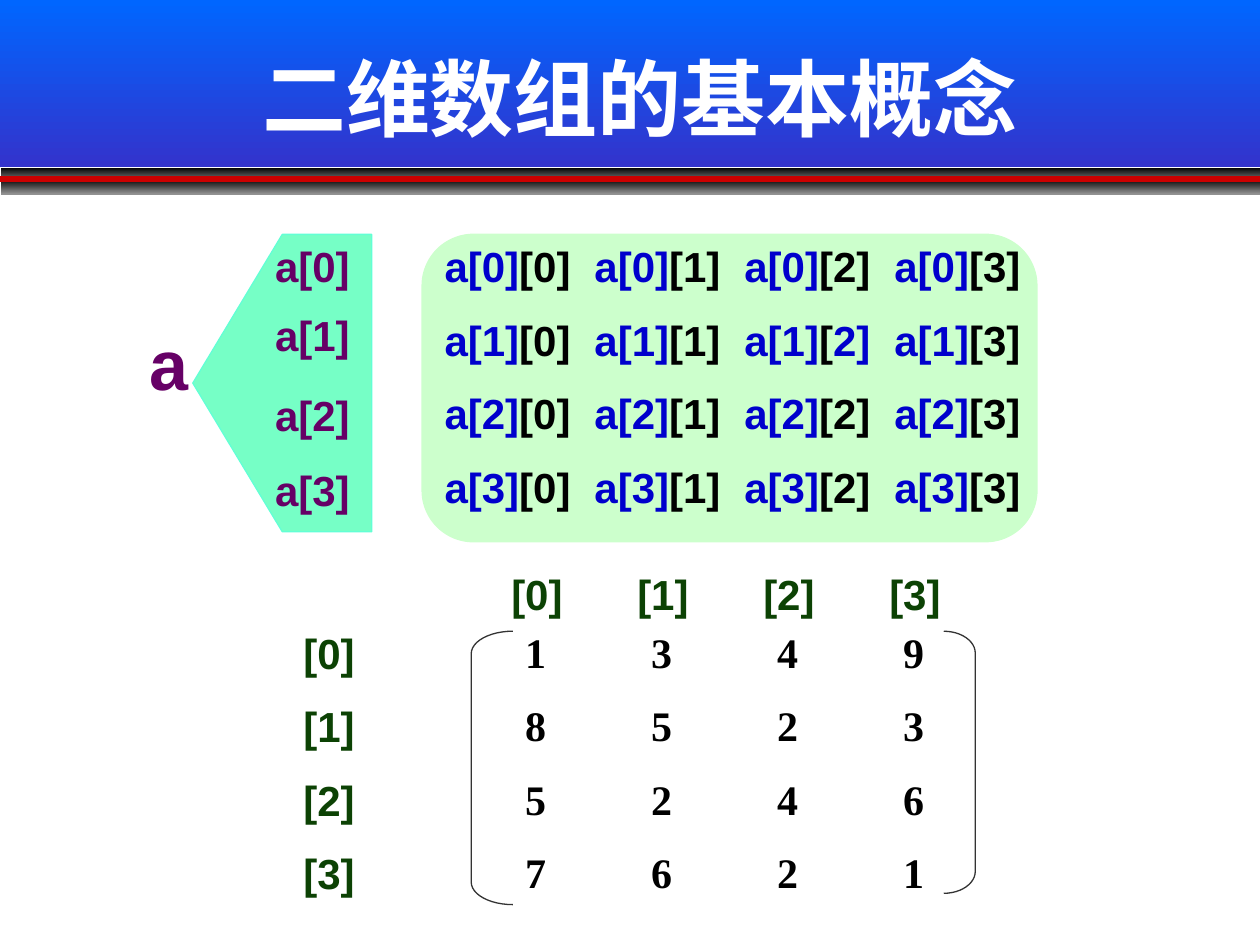
from lxml.etree import SubElement
from pptx import Presentation
from pptx.dml.color import RGBColor
from pptx.enum.shapes import MSO_CONNECTOR, MSO_SHAPE
from pptx.enum.text import MSO_ANCHOR, PP_ALIGN
from pptx.oxml.ns import qn
from pptx.util import Inches, Pt

TITLE = "二维数组的基本概念"
ARRAY_NAME = "a"
MATRIX = [
    [1, 3, 4, 9],
    [8, 5, 2, 3],
    [5, 2, 4, 6],
    [7, 6, 2, 1],
]
ROW_NAME_TOPS = [1.86, 2.41, 3.04, 3.64]
PARTLY_BLUE_CELL = (1, 2)

WIDTH, HEIGHT = 10, 7.5
HEADER_HEIGHT = 1.33
BAND_HEIGHT = 0.12
RULE_TOP = 1.42
MATRIX_TAB = 1
ELEMENT_TAB = 1.19
ROW_GAP = Pt(13.2)

WHITE = RGBColor(0xFF, 0xFF, 0xFF)
BLACK = RGBColor(0x00, 0x00, 0x00)
GREY = RGBColor(0x92, 0x92, 0x92)
BRACKET_GREY = RGBColor(0x33, 0x33, 0x33)
HEADER_TOP = RGBColor(0x00, 0x66, 0xFF)
HEADER_BOTTOM = RGBColor(0x33, 0x33, 0xCC)
RED = RGBColor(0xCC, 0x00, 0x00)
BLUE = RGBColor(0x00, 0x00, 0xCC)
PURPLE = RGBColor(0x66, 0x00, 0x66)
GREEN = RGBColor(0x0C, 0x42, 0x04)
PALE_GREEN = RGBColor(0xCC, 0xFF, 0xCC)
MINT = RGBColor(0x76, 0xFF, 0xC6)
MINT_EDGE = RGBColor(0x63, 0xFF, 0xD5)

presentation = Presentation()
presentation.slide_width = Inches(WIDTH)
presentation.slide_height = Inches(HEIGHT)
slide = presentation.slides.add_slide(presentation.slide_layouts[6])


def add_shape(kind, box, fill=None, line=None, adjustment=None):
    shape = slide.shapes.add_shape(kind, *map(Inches, box))
    shape.shadow.inherit = False
    if adjustment is not None:
        shape.adjustments[0] = adjustment
    if fill is None:
        shape.fill.background()
    elif isinstance(fill, tuple) and not isinstance(fill, RGBColor):
        shape.fill.gradient()
        shape.fill.gradient_angle = 270
        for stop, color in zip(shape.fill.gradient_stops, fill):
            stop.color.rgb = color
    else:
        shape.fill.solid()
        shape.fill.fore_color.rgb = fill
    if line is None:
        shape.line.fill.background()
    else:
        shape.line.color.rgb = line
        shape.line.width = Pt(0.75)
    return shape


def add_text(box, lines, size=24, font="Arial", align=PP_ALIGN.LEFT,
             anchor=MSO_ANCHOR.TOP, tab=None, wrap=True):
    text_frame = slide.shapes.add_textbox(*map(Inches, box)).text_frame
    text_frame.word_wrap = wrap
    text_frame.vertical_anchor = anchor
    for number, pieces in enumerate(lines):
        paragraph = text_frame.add_paragraph() if number else text_frame.paragraphs[0]
        paragraph.alignment = align
        if number:
            paragraph.space_before = ROW_GAP
        if tab:
            tab_list = SubElement(paragraph._p.get_or_add_pPr(), qn("a:tabLst"))
            for column in range(1, len(MATRIX[0])):
                SubElement(tab_list, qn("a:tab"), pos=str(Inches(tab * column)), algn="l")
        for text, color in pieces:
            run = paragraph.add_run()
            run.text = text
            run.font.size = Pt(size)
            run.font.name = font
            run.font.bold = True
            run.font.color.rgb = color


def element_line(row):
    pieces = []
    for column in range(len(MATRIX[row])):
        lead = "\t" if column else ""
        pieces.append((f"{lead}{ARRAY_NAME}[{row}]", BLUE))
        if (row, column) == PARTLY_BLUE_CELL:
            pieces += [("[", BLACK), (f"{column}]", BLUE)]
        else:
            pieces.append((f"[{column}]", BLACK))
    return pieces


add_shape(MSO_SHAPE.RECTANGLE, (0, 0, WIDTH, HEADER_HEIGHT), (HEADER_TOP, HEADER_BOTTOM))
for top in (HEADER_HEIGHT, RULE_TOP):
    add_shape(MSO_SHAPE.RECTANGLE, (0.01, top, WIDTH - 0.01, BAND_HEIGHT), (BLACK, GREY))
rule = slide.shapes.add_connector(
    MSO_CONNECTOR.STRAIGHT, 0, Inches(RULE_TOP), Inches(WIDTH), Inches(RULE_TOP))
rule.line.color.rgb = RED
rule.line.width = Pt(3)
SubElement(rule._element.spPr, qn("a:effectLst"))

add_text((0.83, 0.14, 8.5, 1.25), [[(TITLE, WHITE)]], size=48,
         align=PP_ALIGN.CENTER, anchor=MSO_ANCHOR.MIDDLE)

add_shape(MSO_SHAPE.ROUNDED_RECTANGLE, (3.35, 1.86, 4.88, 2.44), PALE_GREEN, PALE_GREEN, 0.167)
row_arrow = add_shape(MSO_SHAPE.PENTAGON, (1.53, 1.86, 1.42, 2.36), MINT, MINT_EDGE, 0.5)
row_arrow.rotation = 180

add_text((0.83, 2.49, 1.02, 0.77), [[(ARRAY_NAME, PURPLE)]], size=40,
         align=PP_ALIGN.CENTER, anchor=MSO_ANCHOR.MIDDLE)
for row, top in enumerate(ROW_NAME_TOPS):
    add_text((2.08, top, 0.8, 0.5), [[(f"{ARRAY_NAME}[{row}]", PURPLE)]],
             align=PP_ALIGN.CENTER, anchor=MSO_ANCHOR.MIDDLE, wrap=False)
add_text((3.43, 1.86, 5.2, 2.32), [element_line(row) for row in range(len(MATRIX))],
         tab=ELEMENT_TAB)

column_names = "\t".join(f"[{column}]" for column in range(len(MATRIX[0])))
add_text((3.96, 4.46, 3.67, 0.5), [[(column_names, GREEN)]], tab=MATRIX_TAB)
add_text((2.31, 4.93, 1, 2.32), [[(f"[{row}]", GREEN)] for row in range(len(MATRIX))])
add_text((4.07, 4.92, 3.67, 2.32),
         [[("\t".join(map(str, values)), BLACK)] for values in MATRIX],
         font="Times New Roman", tab=MATRIX_TAB)
add_shape(MSO_SHAPE.LEFT_BRACKET, (3.74, 5.01, 0.33, 2.17), None, BRACKET_GREY, 0.542)
add_shape(MSO_SHAPE.RIGHT_BRACKET, (7.49, 5.01, 0.25, 2.08), None, BRACKET_GREY, 0.694)

presentation.save("out.pptx")
